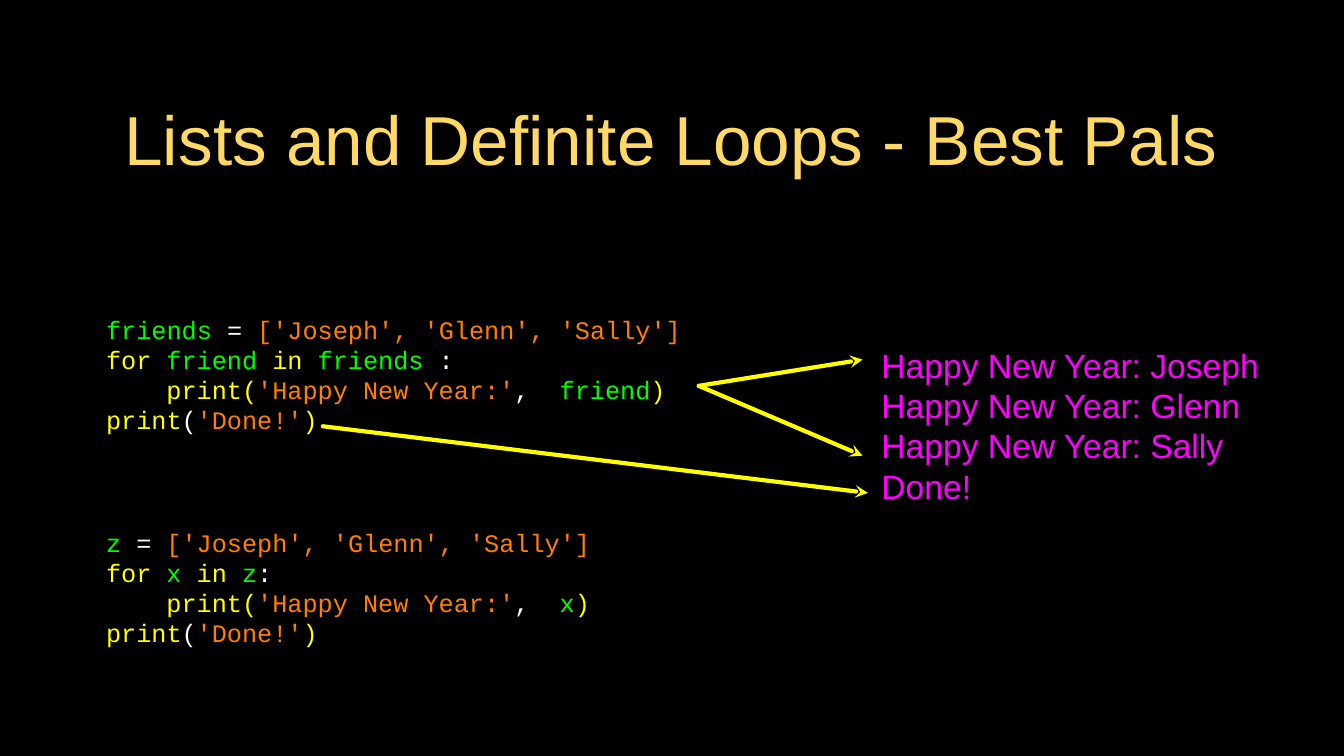
from lxml.etree import SubElement
from pptx import Presentation
from pptx.dml.color import RGBColor
from pptx.enum.shapes import MSO_CONNECTOR
from pptx.enum.text import MSO_ANCHOR, PP_ALIGN
from pptx.oxml.ns import qn
from pptx.util import Pt

BLACK, WHITE, GOLD, MAGENTA = "000000", "FFFFFF", "FFD966", "FF00FF"
NAME, VALUE, KEYWORD = "00FF00", "FF7F00", "FFFF00"


def color(value):
    """Return the colour for a hex string."""
    return RGBColor.from_string(value)


def add_text(slide, box, lines, size, font, align=PP_ALIGN.LEFT, spacing=None, indents=None):
    """Write lines of (text, colour) runs, centred vertically in the box."""
    frame = slide.shapes.add_textbox(*[Pt(length) for length in box]).text_frame
    frame.word_wrap = True
    frame.vertical_anchor = MSO_ANCHOR.MIDDLE
    frame.margin_left = frame.margin_right = frame.margin_top = frame.margin_bottom = 0
    for index, line in enumerate(lines):
        paragraph = frame.add_paragraph() if index else frame.paragraphs[0]
        paragraph.alignment = align
        if spacing:
            paragraph.line_spacing = Pt(spacing)
        if indents and index in indents:
            properties = paragraph._p.get_or_add_pPr()
            properties.set("marL", str(Pt(indents[index])))
            properties.set("indent", "0")
        for text, run_color in line:
            run = paragraph.add_run()
            run.text = text
            run.font.size = Pt(size)
            run.font.name = font
            run.font.color.rgb = color(run_color)


def add_title(slide, box):
    """Place the slide title."""
    add_text(slide, box, [[("Lists and Definite Loops - Best Pals", GOLD)]], 66, "Arial",
             align=PP_ALIGN.CENTER)


def add_code(slide, box, list_name, item_name, colon):
    """Place a highlighted loop over a list of friends."""
    lines = [
        [(list_name, NAME), (" = ", WHITE), ("['Joseph', 'Glenn', 'Sally']", VALUE)],
        [("for ", KEYWORD), (f"{item_name} ", NAME), ("in ", KEYWORD), (list_name, NAME),
         (colon, WHITE)],
        [("print(", KEYWORD), ("'Happy New Year:'", VALUE), (",  ", WHITE), (item_name, NAME),
         (")", KEYWORD)],
        [("print", KEYWORD), ("(", WHITE), ("'Done!'", VALUE), (")", KEYWORD)],
    ]
    add_text(slide, box, lines, 24, "Courier New", spacing=28.6, indents={2: 57.6})


def add_output(slide, box):
    """Place the printed output."""
    lines = [f"Happy New Year: {friend}" for friend in ("Joseph", "Glenn", "Sally")] + ["Done!"]
    add_text(slide, box, [[(line, MAGENTA)] for line in lines], 32, "Arial", spacing=38.4)


def add_arrow(slide, output_point, code_point):
    """Draw an arrow whose head is at the output point."""
    points = [Pt(length) for length in (*output_point, *code_point)]
    connector = slide.shapes.add_connector(MSO_CONNECTOR.STRAIGHT, *points)
    connector.line.color.rgb = color(KEYWORD)
    connector.line.width = Pt(4)
    outline = connector.line._get_or_add_ln()
    outline.set("cap", "rnd")
    SubElement(outline, qn("a:headEnd"), type="stealth", w="med", len="med")
    SubElement(connector._element.spPr, qn("a:effectLst"))


def add_arrows(slide, box):
    """Link the print statements to their output within the box."""
    left, top, width, height = box
    right, bottom = left + width, top + height
    add_arrow(slide, (right - 5, top), (left + 358, top + 25))
    add_arrow(slide, (right - 5, top + 91.5), (left + 358, top + 25))
    add_arrow(slide, (right, bottom), (left, top + 63.5))


def main():
    """Build and save the slide."""
    presentation = Presentation()
    presentation.slide_width, presentation.slide_height = Pt(1280), Pt(720)
    slide = presentation.slides.add_slide(presentation.slide_layouts[6])
    slide.background.fill.solid()
    slide.background.fill.fore_color.rgb = color(BLACK)
    add_title(slide, (91, 62, 1097, 137.5))
    add_code(slide, (101, 269.5, 573, 174), "friends", "friend", " :")
    add_output(slide, (839.5, 319, 389.5, 172))
    add_arrows(slide, (307.5, 342.5, 519, 127))
    add_code(slide, (101, 472.5, 573, 174), "z", "x", ":")
    presentation.save("out.pptx")


if __name__ == "__main__":
    main()
